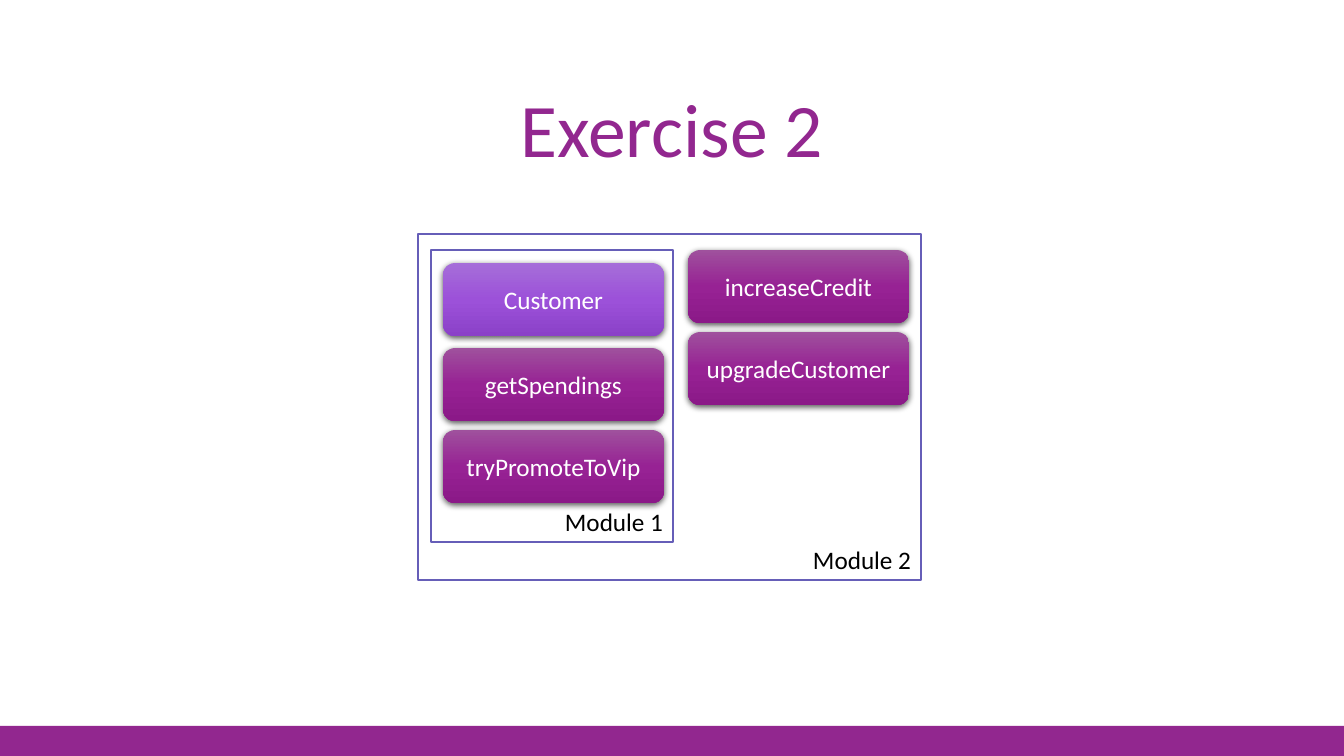
from copy import deepcopy

from lxml.etree import SubElement
from pptx import Presentation
from pptx.dml.color import RGBColor
from pptx.enum.shapes import MSO_SHAPE as Shape
from pptx.enum.text import MSO_ANCHOR as Anchor, PP_ALIGN as Align
from pptx.oxml.ns import qn
from pptx.util import Emu, Pt

EMU_PER_PX = 914400 / 100.8
FONT = "Calibri"

PURPLE = RGBColor(0x92, 0x27, 0x8F)
OUTLINE = RGBColor(0x66, 0x5E, 0xB8)
WHITE = RGBColor(0xFF, 0xFF, 0xFF)
BLACK = RGBColor(0x00, 0x00, 0x00)
TYPE_GRADIENT = (RGBColor(0xA6, 0x6E, 0xD9), RGBColor(0x9C, 0x51, 0xD9),
                 RGBColor(0x8B, 0x41, 0xC8))
FUNCTION_GRADIENT = (RGBColor(0x9F, 0x51, 0x9D), RGBColor(0x97, 0x22, 0x94),
                     RGBColor(0x8B, 0x19, 0x88))

BLOCK_WIDTH, BLOCK_HEIGHT, BLOCK_STEP = 221, 73, 82
LEFT_COLUMN, RIGHT_COLUMN = 443, 688


def px(length):
    return Emu(round(length * EMU_PER_PX))


def write(shape, text, size, color, align, anchor):
    frame = shape.text_frame
    frame.word_wrap = True
    frame.vertical_anchor = anchor
    paragraph = frame.paragraphs[0]
    paragraph.alignment = align
    run = paragraph.add_run()
    run.text = text
    run.font.name = FONT
    run.font.size = Pt(size)
    run.font.color.rgb = color
    return paragraph


def add_box(slide, kind, left, top, width, height):
    shape = slide.shapes.add_shape(kind, px(left), px(top), px(width), px(height))
    shape.line.fill.background()
    shape.shadow.inherit = False
    return shape


def set_gradient(shape, colors):
    """Fill from top to bottom with evenly spaced colours."""
    shape.fill.gradient()
    shape.fill.gradient_angle = 270
    stop_list = shape._element.spPr.find(".//" + qn("a:gsLst"))
    for _ in colors[2:]:
        stop_list.append(deepcopy(stop_list[0]))
    for index, (stop, color) in enumerate(zip(shape.fill.gradient_stops, colors)):
        stop.position = index / (len(colors) - 1)
        stop.color.rgb = color


def add_shadow(shape):
    effects = shape._element.spPr.find(qn("a:effectLst"))
    shadow = SubElement(effects, qn("a:outerShdw"), blurRad=str(Pt(4.5)),
                        dist=str(Pt(1.5)), dir="5400000", algn="ctr",
                        rotWithShape="0")
    color = SubElement(shadow, qn("a:srgbClr"), val=str(BLACK))
    SubElement(color, qn("a:alpha"), val="63000")


def add_block(slide, text, left, top, gradient=FUNCTION_GRADIENT):
    block = add_box(slide, Shape.ROUNDED_RECTANGLE, left, top,
                    BLOCK_WIDTH, BLOCK_HEIGHT)
    set_gradient(block, gradient)
    add_shadow(block)
    write(block, text, 18, WHITE, Align.CENTER, Anchor.MIDDLE)


def add_functions(slide, names, left, top):
    for row, name in enumerate(names):
        add_block(slide, name, left, top + row * BLOCK_STEP)


def add_module(slide, text, left, top, width, height):
    module = add_box(slide, Shape.RECTANGLE, left, top, width, height)
    module.fill.background()
    module.line.color.rgb = OUTLINE
    module.line.width = Pt(2)
    write(module, text, 18, BLACK, Align.RIGHT, Anchor.BOTTOM)


def add_title(slide, text):
    title = slide.shapes.add_textbox(px(148), px(43), px(1048), px(136))
    paragraph = write(title, text, 54, PURPLE, Align.CENTER, Anchor.BOTTOM)
    paragraph.line_spacing = 0.9


def main():
    presentation = Presentation()
    presentation.slide_width = px(1344)
    presentation.slide_height = px(756)
    slide = presentation.slides.add_slide(presentation.slide_layouts[6])

    # Footer band and title
    band = add_box(slide, Shape.RECTANGLE, 0, 726, 1344, 30)
    band.fill.solid()
    band.fill.fore_color.rgb = PURPLE
    add_title(slide, "Exercise 2")

    # Inner module: the type and its functions
    add_block(slide, "Customer", LEFT_COLUMN, 263, TYPE_GRADIENT)
    add_functions(slide, ("getSpendings", "tryPromoteToVip"), LEFT_COLUMN, 348)
    add_module(slide, "Module 1", 431, 250, 242, 292)

    # Outer module
    add_functions(slide, ("increaseCredit", "upgradeCustomer"), RIGHT_COLUMN, 250)
    add_module(slide, "Module 2", 418, 234, 503, 346)

    presentation.save("out.pptx")


if __name__ == "__main__":
    main()
